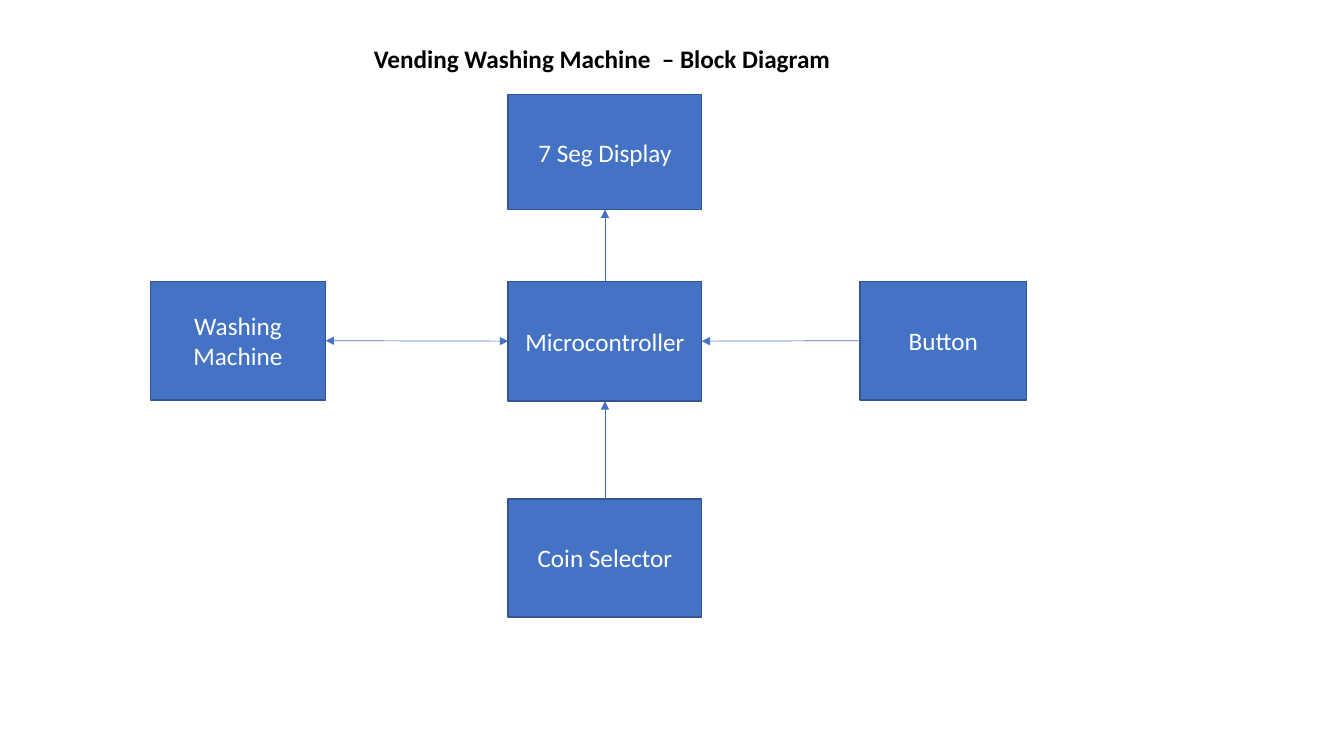
from dataclasses import dataclass

from lxml import etree
from pptx import Presentation
from pptx.dml.color import RGBColor
from pptx.enum.shapes import MSO_CONNECTOR, MSO_SHAPE
from pptx.enum.text import MSO_ANCHOR, MSO_AUTO_SIZE, PP_ALIGN
from pptx.oxml.ns import qn
from pptx.shapes.autoshape import Shape
from pptx.slide import Slide
from pptx.text.text import _Paragraph
from pptx.util import Inches, Pt

RECT = MSO_SHAPE.RECTANGLE
STRAIGHT = MSO_CONNECTOR.STRAIGHT
MIDDLE = MSO_ANCHOR.MIDDLE
CENTER = PP_ALIGN.CENTER
FIT_SHAPE = MSO_AUTO_SIZE.SHAPE_TO_FIT_TEXT
TOP, LEFT, BOTTOM, RIGHT = range(4)

FONT = "Calibri"
COLORS = {
    "block": "4472C4",
    "border": "325491",
    "label": "FFFFFF",
    "title": "000000",
}


@dataclass(frozen=True)
class Block:
    name: str
    lines: tuple[str, ...]
    left: float
    top: float
    width: float
    height: float


@dataclass(frozen=True)
class Link:
    start: str
    start_side: int
    end: str
    end_side: int
    both_ways: bool = False


CORE_LEFT, CORE_WIDTH = 5.04, 1.92
ROW_TOP, ROW_HEIGHT = 2.79, 1.18

BLOCKS = (
    Block("washer", ("Washing", "Machine"), 1.49, ROW_TOP, 1.74, ROW_HEIGHT),
    Block("controller", ("Microcontroller",), CORE_LEFT, ROW_TOP, CORE_WIDTH, 1.19),
    Block("display", ("7 Seg Display",), CORE_LEFT, 0.94, CORE_WIDTH, 1.14),
    Block("coins", ("Coin Selector",), CORE_LEFT, 4.95, CORE_WIDTH, 1.17),
    Block("button", ("Button",), 8.53, ROW_TOP, 1.65, ROW_HEIGHT),
)

LINKS = (
    Link("coins", TOP, "controller", BOTTOM),
    Link("washer", RIGHT, "controller", LEFT, both_ways=True),
    Link("controller", TOP, "display", BOTTOM),
    Link("button", LEFT, "controller", RIGHT),
)


def rgb(name: str) -> RGBColor:
    return RGBColor.from_string(COLORS[name])


def add_run(p: _Paragraph, text: str, color: str, bold: bool = False) -> None:
    r = p.add_run()
    r.text = text
    r.font.name = FONT
    r.font.size = Pt(18)
    r.font.bold = bold
    r.font.color.rgb = rgb(color)


def add_block(s: Slide, block: Block) -> Shape:
    sp = s.shapes.add_shape(
        RECT,
        Inches(block.left),
        Inches(block.top),
        Inches(block.width),
        Inches(block.height),
    )
    sp.shadow.inherit = False
    sp.fill.solid()
    sp.fill.fore_color.rgb = rgb("block")
    sp.line.color.rgb = rgb("border")
    sp.line.width = Pt(1)
    tf = sp.text_frame
    tf.word_wrap = True
    tf.vertical_anchor = MIDDLE
    for i, line in enumerate(block.lines):
        p = tf.add_paragraph() if i else tf.paragraphs[0]
        p.alignment = CENTER
        add_run(p, line, "label")
    return sp


def add_link(s: Slide, link: Link, shapes: dict[str, Shape]) -> None:
    cxn = s.shapes.add_connector(STRAIGHT, 0, 0, 0, 0)
    cxn.begin_connect(shapes[link.start], link.start_side)
    cxn.end_connect(shapes[link.end], link.end_side)
    cxn.line.color.rgb = rgb("block")
    cxn.line.width = Pt(0.5)
    ln = cxn.line._get_or_add_ln()
    if link.both_ways:
        etree.SubElement(ln, qn("a:headEnd"), type="triangle")
    etree.SubElement(ln, qn("a:tailEnd"), type="triangle")
    etree.SubElement(cxn._element.spPr, qn("a:effectLst"))


def add_title(s: Slide) -> None:
    sp = s.shapes.add_textbox(Inches(3.61), Inches(0.38), Inches(5.03), Inches(0.4))
    tf = sp.text_frame
    tf.word_wrap = True
    tf.auto_size = FIT_SHAPE
    add_run(tf.paragraphs[0], "Vending Washing Machine  – Block Diagram", "title", bold=True)


def main() -> None:
    prs = Presentation()
    prs.slide_width = Inches(13.33)
    prs.slide_height = Inches(7.5)
    s = prs.slides.add_slide(prs.slide_layouts[6])
    shapes = {block.name: add_block(s, block) for block in BLOCKS}
    for link in LINKS:
        add_link(s, link, shapes)
    add_title(s)
    prs.save("out.pptx")


if __name__ == "__main__":
    main()
